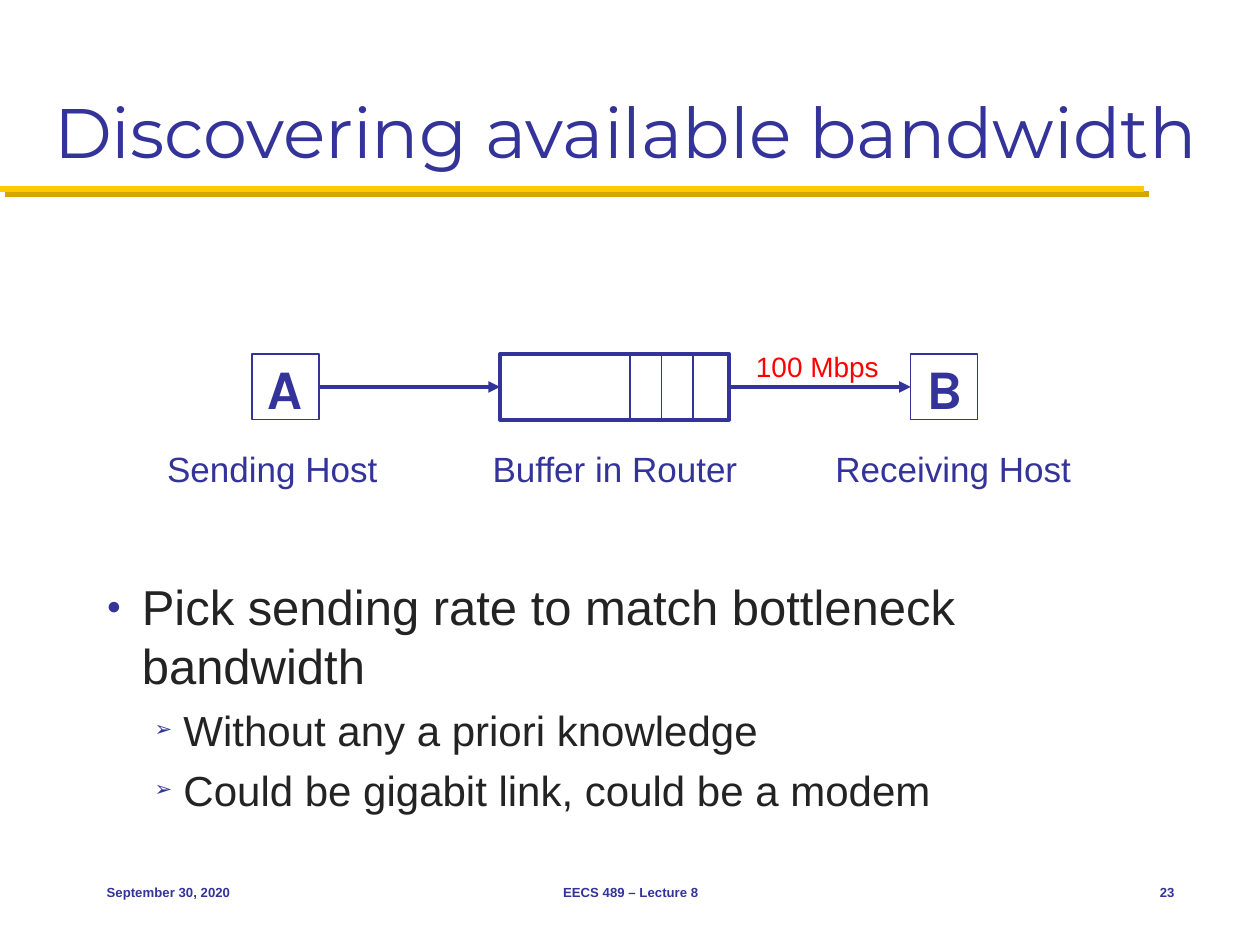
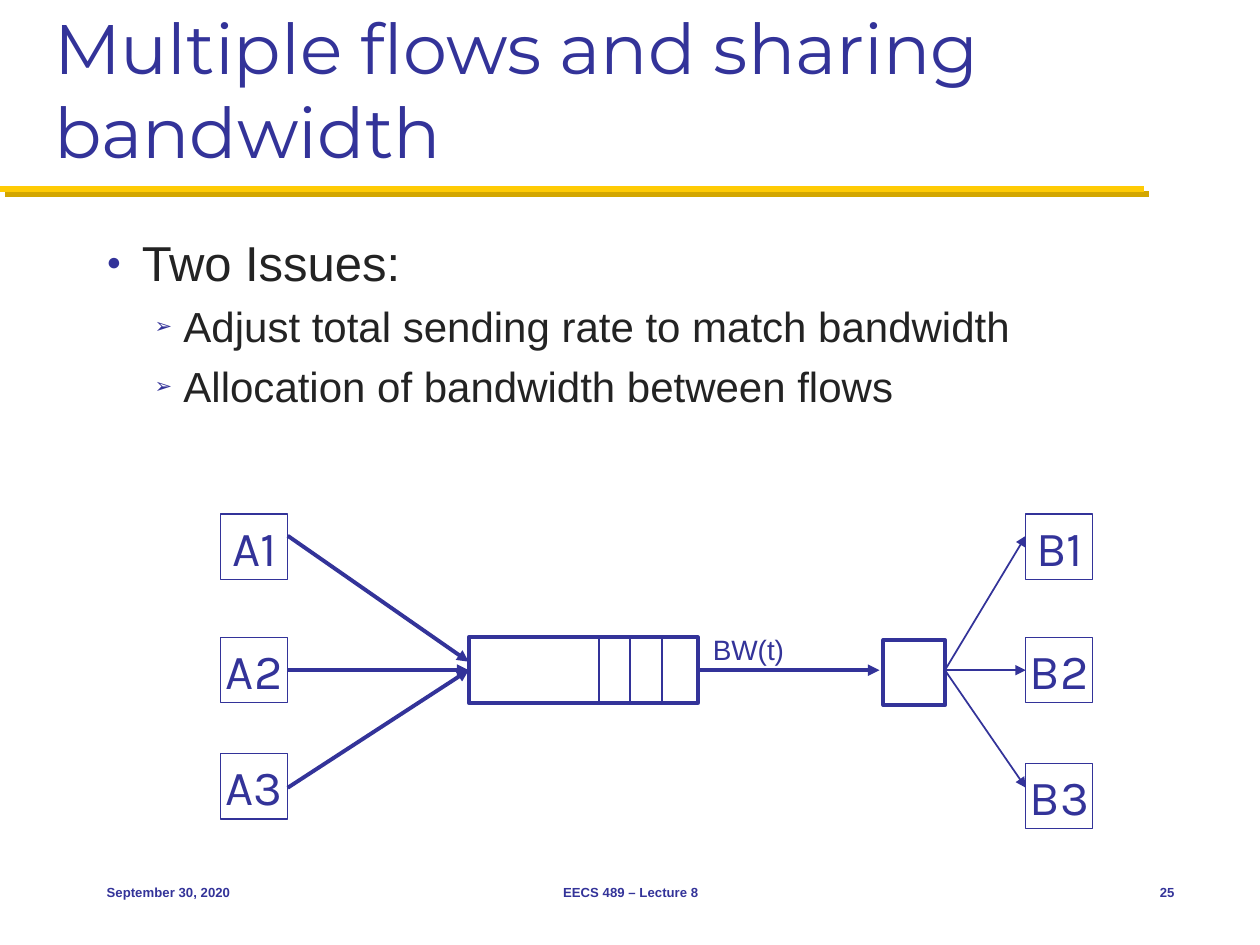
from lxml import etree
from pptx import Presentation
from pptx import util as u
from pptx.dml.color import RGBColor
from pptx.enum import shapes, text
from pptx.oxml import ns

COLORS = {
    "navy": "333399",
    "ink": "232323",
    "gold": "FFCB05",
    "dark_gold": "D3A600",
    "red": "FF0000",
    "white": "FFFFFF",
}
BODY_FONT, TITLE_FONT, NODE_FONT = "Arial", "Montserrat", "Karla"
LEFT, CENTER, RIGHT = text.PP_ALIGN.LEFT, text.PP_ALIGN.CENTER, text.PP_ALIGN.RIGHT
TOP, MIDDLE, BOTTOM = text.MSO_ANCHOR.TOP, text.MSO_ANCHOR.MIDDLE, text.MSO_ANCHOR.BOTTOM
NODE_WIDTH, NODE_HEIGHT = 1.35, 1.32
BUFFER_WIDTH, SLOT_START, SLOT_STEP = 4.62, 2.62, 0.635
THIN, MEDIUM, THICK = 0.75, 1, 2.25
BULLETS = [
    {"char": "●", "size": 28, "margin": 0.71, "hang": 0.71},
    {"char": "➢", "size": 24, "margin": 1.55, "hang": 0.58},
]


def color(name):
    return RGBColor.from_string(COLORS[name])


def child(parent, tag, **attributes):
    return etree.SubElement(parent, ns.qn(tag), attributes)


def write(paragraph, words, size, font=BODY_FONT, tint="navy", bold=False, align=LEFT):
    paragraph.alignment = align
    run = paragraph.add_run()
    run.text = words
    run.font.size = u.Pt(size)
    run.font.name = font
    run.font.bold = bold
    run.font.color.rgb = color(tint)


def set_frame(frame, wrap, anchor, side=0.25, edge=0.13):
    frame.auto_size = text.MSO_AUTO_SIZE.NONE
    frame.word_wrap = wrap
    frame.vertical_anchor = anchor
    frame.margin_left = frame.margin_right = u.Cm(side)
    frame.margin_top = frame.margin_bottom = u.Cm(edge)


def add_label(slide, words, left, top, width, height, size, anchor=TOP, **style):
    label = slide.shapes.add_textbox(u.Cm(left), u.Cm(top), u.Cm(width), u.Cm(height))
    set_frame(label.text_frame, False, anchor)
    write(label.text_frame.paragraphs[0], words, size, **style)


def add_line(slide, start, end, weight, tint="navy", arrow=False, shadow=None):
    line = slide.shapes.add_connector(
        shapes.MSO_CONNECTOR.STRAIGHT, *(u.Cm(value) for value in (*start, *end)))
    line.line.width = u.Pt(weight)
    line.line.color.rgb = color(tint)
    if arrow:
        child(line.line._get_or_add_ln(), "a:tailEnd", type="triangle")
    effects = child(line._element.spPr, "a:effectLst")
    if shadow:
        cast = child(effects, "a:outerShdw", blurRad="0", dist=str(u.Pt(4.2)),
                     dir="2700000", algn="ctr", rotWithShape="0")
        child(cast, "a:srgbClr", val=COLORS[shadow])


def add_box(slide, left, top, width=NODE_WIDTH, weight=THICK):
    box = slide.shapes.add_shape(
        shapes.MSO_SHAPE.RECTANGLE, u.Cm(left), u.Cm(top), u.Cm(width), u.Cm(NODE_HEIGHT))
    box.shadow.inherit = False
    box.fill.solid()
    box.fill.fore_color.rgb = color("white")
    box.line.color.rgb = color("navy")
    box.line.width = u.Pt(weight)
    return box


def add_host(slide, name, left, top, size, bold=False):
    frame = add_box(slide, left, top, weight=THIN).text_frame
    set_frame(frame, False, MIDDLE, side=0.15, edge=0.08)
    write(frame.paragraphs[0], name, size, NODE_FONT, bold=bold, align=CENTER)


def add_buffer(slide, left, top):
    add_box(slide, left, top, BUFFER_WIDTH)
    for slot in range(3):
        x = left + SLOT_START + slot * SLOT_STEP
        add_line(slide, (x, top), (x, top + NODE_HEIGHT), MEDIUM)


def add_bullets(slide, top, height, items):
    body = slide.shapes.add_textbox(u.Cm(1.9), u.Cm(top), u.Cm(22.02), u.Cm(height))
    frame = body.text_frame
    set_frame(frame, True, TOP)
    for index, (level, words) in enumerate(items):
        style = BULLETS[level]
        paragraph = frame.add_paragraph() if index else frame.paragraphs[0]
        if index:
            paragraph.space_before = u.Pt(5.5)
        paragraph.level = level
        properties = paragraph._p.get_or_add_pPr()
        properties.set("marL", str(u.Cm(style["margin"])))
        properties.set("indent", str(-u.Cm(style["hang"])))
        child(child(properties, "a:buClr"), "a:srgbClr", val=COLORS["navy"])
        child(properties, "a:buSzPct", val="50000")
        child(properties, "a:buFont", typeface=BODY_FONT)
        child(properties, "a:buChar", char=style["char"])
        write(paragraph, words, style["size"], tint="ink")


def add_lecture_slide(deck, heading, number):
    slide = deck.slides.add_slide(deck.slide_layouts[5])
    add_line(slide, (0, 3.81), (23.06, 3.81), 3.5, "gold", shadow="dark_gold")
    title = slide.shapes.title
    title.left, title.top, title.width, title.height = (
        u.Cm(value) for value in (0.84, 0.43, 23.7, 3.18))
    set_frame(title.text_frame, True, BOTTOM)
    write(title.text_frame.paragraphs[0], heading, 40, TITLE_FONT)
    footers = [
        ("September 30, 2020", 1.9, 5.28, LEFT),
        ("EECS 489 – Lecture 8", 8.69, 8.05, CENTER),
        (number, 22.23, 1.7, RIGHT),
    ]
    for words, left, width, align in footers:
        add_label(slide, words, left, 17.35, width, 1.27, 7.5, MIDDLE, bold=True, align=align)
    return slide


def add_bandwidth_slide(deck):
    slide = add_lecture_slide(deck, "Discovering available bandwidth", "23")
    add_bullets(slide, 11.5, 5.2, [
        (0, "Pick sending rate to match bottleneck bandwidth"),
        (1, "Without any a priori knowledge"),
        (1, "Could be gigabit link, could be a modem"),
    ])
    row, wire = 7.14, 7.8
    sender, buffer, receiver = 5.08, 10.08, 18.36
    add_host(slide, "A", sender, row, 32, bold=True)
    add_buffer(slide, buffer, row)
    add_host(slide, "B", receiver, row, 32, bold=True)
    add_line(slide, (sender + NODE_WIDTH, wire), (buffer, wire), THICK, arrow=True)
    add_line(slide, (buffer + BUFFER_WIDTH, wire), (receiver, wire), THICK, arrow=True)
    add_label(slide, "100 Mbps", 14.99, 6.91, 3.02, 0.94, 16, tint="red")
    for words, left, width in [
        ("Sending Host", 3.12, 4.78),
        ("Buffer in Router", 9.68, 5.49),
        ("Receiving Host", 16.59, 5.31),
    ]:
        add_label(slide, words, left, 8.89, width, 1.09, 20)


def add_sharing_slide(deck):
    slide = add_lecture_slide(deck, "Multiple flows and sharing bandwidth", "25")
    add_bullets(slide, 4.55, 4.2, [
        (0, "Two Issues:"),
        (1, "Adjust total sending rate to match bandwidth"),
        (1, "Allocation of bandwidth between flows"),
    ])
    row, wire = 12.85, 13.51
    senders, buffer, splitter, receivers = 4.45, 9.45, 17.81, 20.68
    splitter_width = 1.24
    add_buffer(slide, buffer, row)
    add_box(slide, splitter, 12.9, splitter_width)
    add_line(slide, (buffer + BUFFER_WIDTH, wire), (17.73, wire), THICK, arrow=True)
    add_label(slide, "BW(t)", 14.12, 12.62, 1.96, 0.94, 16)
    flows = [
        (10.36, 10.36, 10.8, 13.34),
        (row, row, wire, wire),
        (15.19, 15.39, 15.88, wire),
    ]
    for flow, (sender_top, receiver_top, port, entry) in enumerate(flows, 1):
        add_host(slide, f"A{flow}", senders, sender_top, 28)
        add_host(slide, f"B{flow}", receivers, receiver_top, 28)
        add_line(slide, (senders + NODE_WIDTH, port), (buffer, entry), THICK, arrow=True)
        add_line(slide, (splitter + splitter_width, wire), (receivers, port), MEDIUM, arrow=True)


def main():
    deck = Presentation()
    deck.slide_width, deck.slide_height = u.Cm(25.4), u.Cm(19.05)
    add_bandwidth_slide(deck)
    add_sharing_slide(deck)
    deck.save("out.pptx")


if __name__ == "__main__":
    main()
